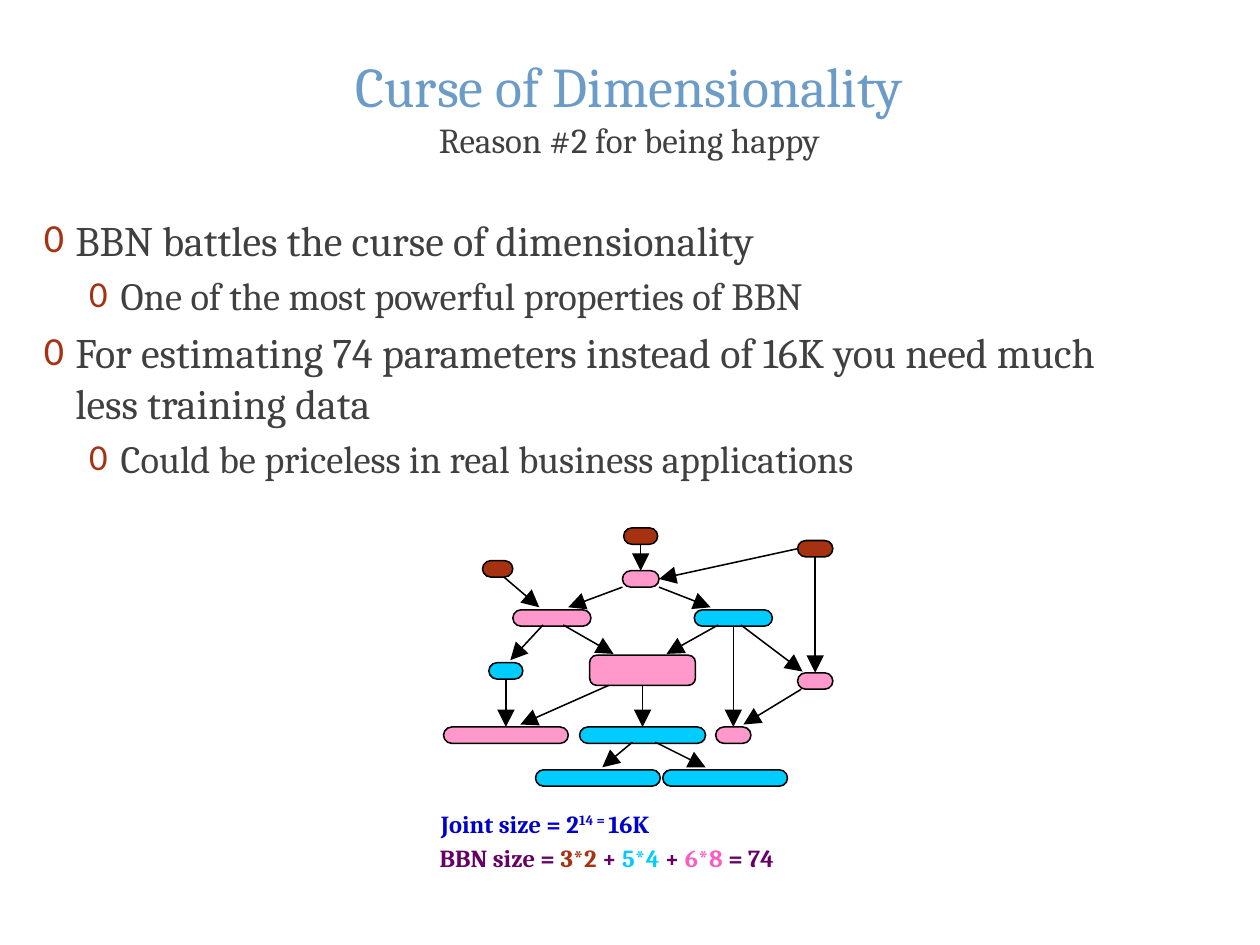
from lxml import etree
from pptx import Presentation
from pptx import util as u
from pptx.dml.color import RGBColor
from pptx.enum import shapes, text
from pptx.oxml import ns

FONT = "Cambria"
GREY, RUST, PINK, CYAN, PURPLE, BLUE = "404040", "A63212", "FF99CC", "00CCFF", "660066", "0000CC"


def rgb(code):
    return RGBColor.from_string(code)


def style(run, size, color, bold=False):
    run.font.name = FONT
    run.font.size = u.Pt(size)
    run.font.bold = bold
    run.font.color.rgb = rgb(color)


deck = Presentation()
deck.slide_width, deck.slide_height = u.Inches(10), u.Inches(7.5)
slide = deck.slides.add_slide(deck.slide_layouts[5])

title = slide.shapes.title
title.left, title.top = u.Inches(0.6), u.Inches(0.05)
title.width, title.height = u.Inches(8.79), u.Inches(1.58)
title.text_frame.text = "Curse of Dimensionality\vReason #2 for being happy"
title.text_frame.auto_size = text.MSO_AUTO_SIZE.NONE
title.text_frame.vertical_anchor = text.MSO_ANCHOR.MIDDLE
heading = title.text_frame.paragraphs[0]
heading.alignment = text.PP_ALIGN.CENTER
for run, size, color in zip(heading.runs, (32, 20), ("6B9BC7", GREY)):
    style(run, size, color)

points = [
    (0, "BBN battles the curse of dimensionality"),
    (1, "One of the most powerful properties of BBN"),
    (0, "For estimating 74 parameters instead of 16K you need much less training data"),
    (1, "Could be priceless in real business applications"),
]
body = slide.shapes.add_textbox(u.Inches(0.25), u.Inches(1.65), u.Inches(8.84), u.Inches(5.25)).text_frame
body.word_wrap = True
body.text = "\n".join(wording for _, wording in points)
for paragraph, (level, _) in zip(body.paragraphs, points):
    size = (24, 22)[level]
    paragraph.level = level
    paragraph.space_before = u.Pt(0.2 * size)
    style(paragraph.runs[0], size, GREY)
    props = paragraph._p.get_or_add_pPr()
    props.set("marL", str(u.Inches((0.25, 0.61)[level])))
    props.set("indent", str(u.Inches(-0.25)))
    bullet_color = etree.SubElement(props, ns.qn("a:buClr"))
    etree.SubElement(bullet_color, ns.qn("a:srgbClr"), val=RUST)
    etree.SubElement(props, ns.qn("a:buSzPct"), val="95000")
    etree.SubElement(props, ns.qn("a:buFont"), typeface="+mj-lt")
    etree.SubElement(props, ns.qn("a:buChar"), char="0")

sums = [
    (3.39, 6.64, 3.04, 0.42, [("BBN size = ", PURPLE), ("3*2 ", RUST), ("+ ", PURPLE), ("5*4 ", CYAN),
                              ("+ ", PURPLE), ("6*8 ", "F85EC1"), ("= 74", PURPLE)]),
    (3.4, 6.37, 3.08, 0.25, [("Joint size = 2", BLUE), ("14 = ", BLUE), ("16K", BLUE)]),
]
for left, top, width, height, parts in sums:
    size_note = slide.shapes.add_textbox(*map(u.Inches, (left, top, width, height))).text_frame
    size_note.word_wrap = True
    for wording, color in parts:
        run = size_note.paragraphs[0].add_run()
        run.text = wording
        style(run, 14, color, bold=True)
        if wording == "14 = ":
            run.font._element.set("baseline", "30000")

node_specs = {
    "root left": (3.83, 4.45, 0.24, RUST),
    "root middle": (4.95, 4.19, 0.27, RUST),
    "root right": (6.33, 4.29, 0.28, RUST),
    "hub": (4.94, 4.53, 0.29, PINK),
    "branch left": (4.07, 4.84, 0.62, PINK),
    "branch right": (5.51, 4.84, 0.62, CYAN),
    "side left": (3.88, 5.26, 0.27, CYAN),
    "center": (4.68, 5.2, 0.84, PINK),
    "side right": (6.33, 5.34, 0.28, PINK),
    "leaf left": (3.52, 5.77, 0.99, PINK),
    "leaf middle": (4.6, 5.77, 1, CYAN),
    "leaf right": (5.68, 5.77, 0.28, PINK),
    "end left": (4.25, 6.11, 0.99, CYAN),
    "end right": (5.26, 6.11, 0.99, CYAN),
}
nodes = {}
for key, (left, top, width, color) in node_specs.items():
    height = 0.24 if key == "center" else 0.13
    node = slide.shapes.add_shape(shapes.MSO_SHAPE.ROUNDED_RECTANGLE,
                                  *map(u.Inches, (left, top, width, height)))
    node.adjustments[0] = 0.24 if key == "center" else 0.5
    node.shadow.inherit = False
    node.fill.solid()
    node.fill.fore_color.rgb = rgb(color)
    node.line.color.rgb = rgb("000000")
    node.line.width = u.Pt(0.88)
    nodes[key] = node

joined_edges = [
    ("root middle", 2, "hub", 0),
    ("root right", 1, "hub", 3),
    ("root right", 2, "side right", 0),
    ("side left", 2, "leaf left", 0),
    ("center", 2, "leaf middle", 0),
    ("branch right", 2, "leaf right", 0),
]
loose_edges = [
    (4, 4.58, 4.28, 4.82),
    (4.94, 4.66, 4.51, 4.82),
    (5.23, 4.66, 5.64, 4.82),
    (4.31, 4.96, 4.05, 5.24),
    (4.47, 4.96, 4.87, 5.19),
    (5.7, 4.96, 5.29, 5.19),
    (5.88, 4.96, 6.37, 5.33),
    (4.83, 5.44, 4.13, 5.75),
    (6.36, 5.47, 5.9, 5.75),
    (5.02, 5.89, 4.78, 6.09),
    (5.2, 5.89, 5.6, 6.09),
]
arrows = []
for parent, parent_side, child, child_side in joined_edges:
    arrow = slide.shapes.add_connector(shapes.MSO_CONNECTOR.STRAIGHT, 0, 0, 0, 0)
    arrow.begin_connect(nodes[parent], parent_side)
    arrow.end_connect(nodes[child], child_side)
    arrows.append(arrow)
for ends in loose_edges:
    arrows.append(slide.shapes.add_connector(shapes.MSO_CONNECTOR.STRAIGHT, *map(u.Inches, ends)))
for arrow in arrows:
    arrow.line.color.rgb = rgb("000000")
    arrow.line.width = u.Pt(0.88)
    etree.SubElement(arrow.line._get_or_add_ln(), ns.qn("a:tailEnd"), type="triangle", w="lg", len="lg")
    etree.SubElement(arrow._element.spPr, ns.qn("a:effectLst"))

deck.save("out.pptx")
